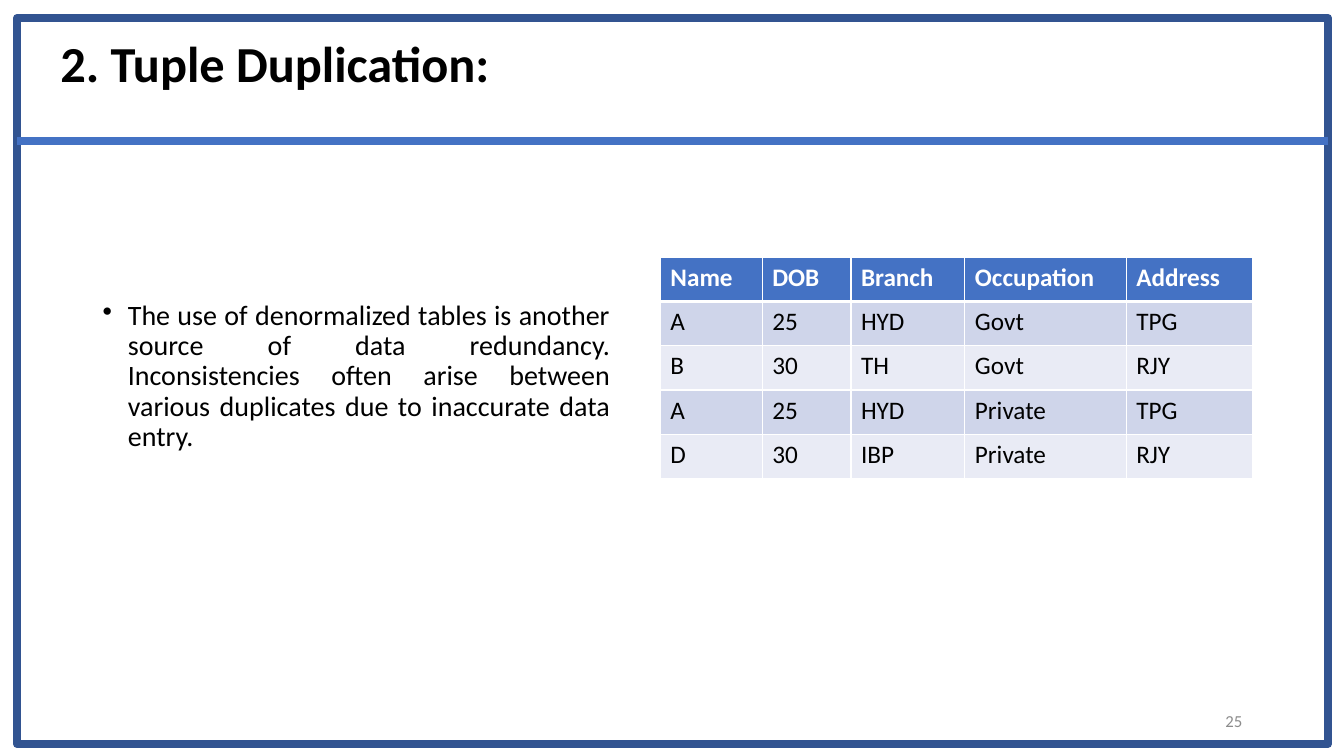
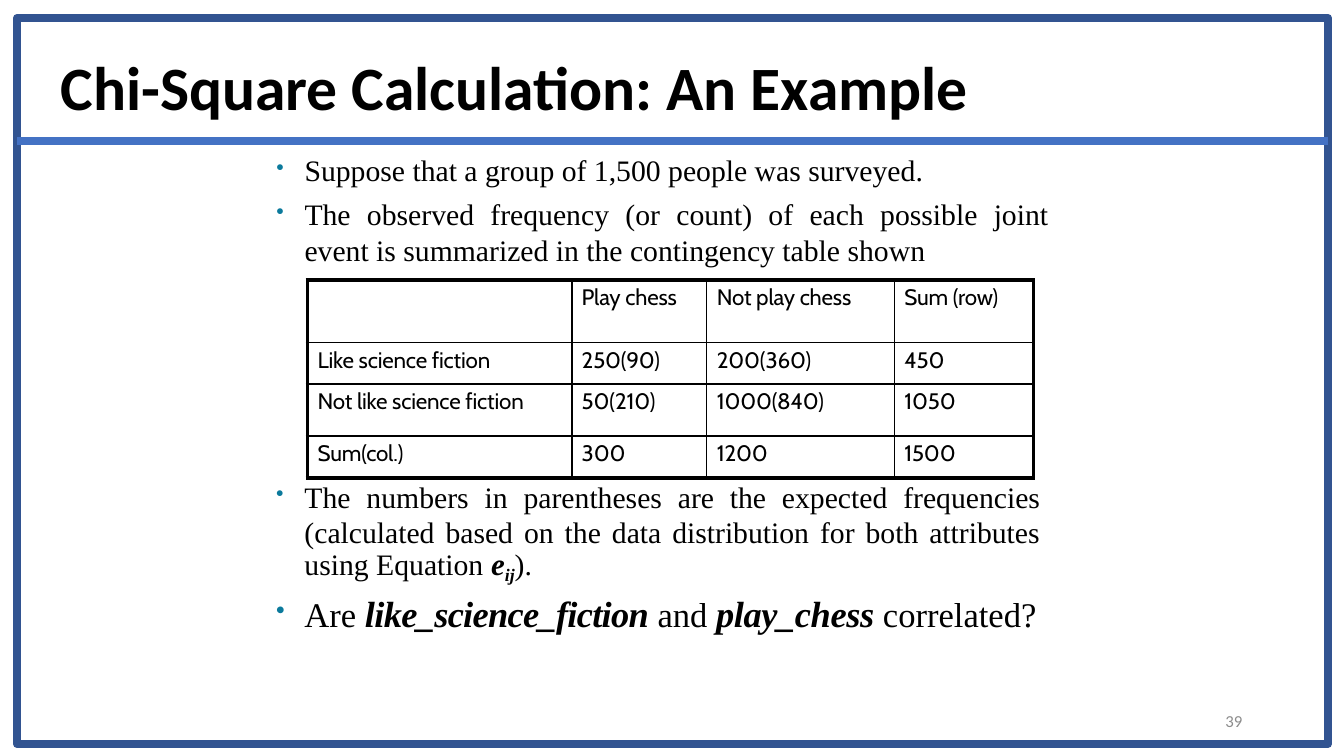
from lxml import etree
from pptx import Presentation, util as u
from pptx.dml.color import RGBColor
from pptx.enum import shapes, text
from pptx.oxml.ns import qn

BLACK, WHITE, GREY = "000000", "FFFFFF", "8C8C8C"
FRAME, ACCENT, TEAL = "325491", "4472C4", "0B7A9C"
BANDS = ("CFD5EA", "E9EBF5")
SANS, SERIF, TABLE_FONT = "Calibri", "Times New Roman", "Cabin"
JUSTIFY = text.PP_ALIGN.JUSTIFY


def color(hex_code):
    return RGBColor.from_string(hex_code)


def child(parent, tag, **attributes):
    return etree.SubElement(parent, qn(tag), {k: str(v) for k, v in attributes.items()})


class Deck:
    """Holds the style and the slide being drawn."""

    def __init__(self):
        self.prs = Presentation()
        self.prs.slide_width, self.prs.slide_height = u.Inches(13.33), u.Inches(7.5)
        self.slide = None

    def new_slide(self):
        self.slide = self.prs.slides.add_slide(self.prs.slide_layouts[6])

    def write_run(self, paragraph, words, size, font, ink=BLACK, spacing=0, baseline=0, **style):
        run = paragraph.add_run()
        run.text = words
        for name, value in {"size": u.Pt(size), "name": font, **style}.items():
            setattr(run.font, name, value)
        run.font.color.rgb = color(ink)
        # Letter spacing and subscripts exist only as XML attributes
        for name, value in {"spc": spacing, "baseline": baseline}.items():
            if value:
                run._r.get_or_add_rPr().set(name, str(value))

    def add_bullet(self, paragraph, indent, hanging, ink=None):
        props = paragraph._p.get_or_add_pPr()
        for name, value in {"marL": indent, "indent": -hanging}.items():
            props.set(name, str(u.Inches(value)))
        if ink:
            child(child(props, "a:buClr"), "a:srgbClr", val=ink)
            child(props, "a:buSzPct", val=75000)
        child(props, "a:buChar", char="•")

    def textbox(self, box, paragraphs, insets=(0.1, 0.05, 0.1, 0.05),
                anchor=text.MSO_ANCHOR.TOP, bullet=None):
        """Each paragraph is a pair: its format values and its runs."""
        frame = self.slide.shapes.add_textbox(*map(u.Inches, box)).text_frame
        frame.word_wrap, frame.vertical_anchor = True, anchor
        for side, inset in zip(("left", "top", "right", "bottom"), insets):
            setattr(frame, f"margin_{side}", u.Inches(inset))
        for i, (layout, runs) in enumerate(paragraphs):
            paragraph = frame.add_paragraph() if i else frame.paragraphs[0]
            if bullet:
                self.add_bullet(paragraph, *bullet)
            for name, value in layout.items():
                setattr(paragraph, name, value)
            for words, style in runs:
                self.write_run(paragraph, words, **style)

    def title(self, box, words, size, layout=None, **placing):
        style = dict(size=size, font=SANS, bold=True)
        self.textbox(box, [(layout or {}, [(words, style)])], **placing)

    def border(self, cell, widths):
        props = cell._tc.get_or_add_tcPr()
        for side, (width, ink) in zip("LRTB", widths):
            line = child(props, f"a:ln{side}", w=u.Pt(width))
            child(child(line, "a:solidFill"), "a:srgbClr", val=ink)

    def table(self, corner, columns, heights, rows, rules, ink, margins, cell_style):
        """rules gives the line widths across and down; cell_style(row) a fill and a font."""
        size = sum(columns), sum(heights)
        grid = self.slide.shapes.add_table(
            len(rows), len(columns), *map(u.Inches, corner + size)).table
        grid.first_row = grid.horz_banding = False
        for column, width in zip(grid.columns, columns):
            column.width = u.Inches(width)
        for row, height in zip(grid.rows, heights):
            row.height = u.Inches(height)
        across, down = rules
        for r, labels in enumerate(rows):
            fill, style = cell_style(r)
            for c, label in enumerate(labels):
                cell = grid.cell(r, c)
                for side, margin in zip(("left", "top", "right", "bottom"), margins):
                    setattr(cell, f"margin_{side}", u.Inches(margin))
                edges = down[c], down[c + 1], across[r], across[r + 1]
                self.border(cell, [(width, ink) for width in edges])
                if fill:
                    cell.fill.solid()
                    cell.fill.fore_color.rgb = color(fill)
                else:
                    cell.fill.background()
                if label:
                    self.write_run(cell.text_frame.paragraphs[0], label, **style)

    def finish(self, number):
        """Page number, frame and title rule, the same on every slide."""
        self.textbox((9.42, 6.95, 3, 0.4),
                     [({"alignment": text.PP_ALIGN.RIGHT},
                       [(number, dict(size=12, font=SANS, ink=GREY))])],
                     anchor=text.MSO_ANCHOR.MIDDLE)
        frame = self.slide.shapes.add_shape(
            shapes.MSO_SHAPE.RECTANGLE, *map(u.Inches, (0.17, 0.18, 13, 7.2)))
        frame.shadow.inherit = False
        frame.fill.background()
        rule = self.slide.shapes.add_connector(
            shapes.MSO_CONNECTOR.STRAIGHT, *map(u.Inches, (0.17, 1.4, 13.17, 1.4)))
        child(rule._element.spPr, "a:effectLst")
        for outline, ink in ((frame.line, FRAME), (rule.line, ACCENT)):
            outline.color.rgb = color(ink)
            outline.width = u.Pt(6)


def tuple_duplication(deck):
    deck.new_slide()
    deck.title((0.5, 0.31, 5.23, 1.25), "2. Tuple Duplication:", 36,
               {"line_spacing": 0.9}, insets=(0.1, 0.08, 0.1, 0.05))
    deck.textbox((0.92, 2.94, 5.23, 1.8), [
        ({"alignment": JUSTIFY, "line_spacing": 0.9},
         [("The use of denormalized tables is another source of data redundancy. "
           "Inconsistencies often arise between various duplicates due to "
           "inaccurate data entry.", dict(size=20, font=SANS))]),
    ], bullet=(0.25, 0.25))

    # Table with a header row and banded records
    def banded(row):
        if row == 0:
            return ACCENT, dict(size=18, font=SANS, ink=WHITE, bold=True)
        return BANDS[(row - 1) % 2], dict(size=18, font=SANS)

    people = [
        ("Name", "DOB", "Branch", "Occupation", "Address"),
        ("A", "25", "HYD", "Govt", "TPG"),
        ("B", "30", "TH", "Govt", "RJY"),
        ("A", "25", "HYD", "Private", "TPG"),
        ("D", "30", "IBP", "Private", "RJY"),
    ]
    deck.table((6.55, 2.55), (1.01, 0.88, 1.13, 1.6, 1.25), [0.44] * len(people), people,
               ((1, 3, 1, 1, 1, 1), [1] * 6), WHITE, (0.1, 0.05, 0.1, 0.05), banded)
    deck.finish("25")


def chi_square(deck):
    deck.new_slide()
    deck.title((0.6, 0.47, 10.97, 0.75), "Chi-Square Calculation: An Example", 44,
               insets=(0, 0.01, 0, 0), anchor=text.MSO_ANCHOR.MIDDLE)
    body = dict(size=21.2, font=SERIF)
    question = dict(size=24.7, font=SERIF)
    emphasis = dict(font=SERIF, bold=True, italic=True)

    # Survey set-up
    deck.textbox((2.73, 1.41, 7.68, 1.25), [
        ({"alignment": JUSTIFY},
         [("Suppose that a group of 1,500 people was surveyed.", body)]),
        ({"alignment": JUSTIFY, "space_before": u.Pt(6)},
         [("The observed frequency (or count) of each possible joint event "
           "is summarized in the contingency table shown", body)]),
    ], insets=(0, 0.1, 0, 0), bullet=(0.29, 0.28, TEAL))

    # Reading of the table and the question
    deck.textbox((2.7, 4.73, 7.63, 1.57), [
        ({"alignment": JUSTIFY, "line_spacing": u.Pt(25.4)},
         [("The numbers in parentheses are the expected frequencies (calculated based on "
           "the data distribution for both attributes using Equation ", body),
          ("e", dict(size=22.1, **emphasis)),
          ("ij", dict(size=21.8, baseline=-20000, **emphasis)),
          (").", body)]),
        ({"alignment": JUSTIFY, "space_before": u.Pt(4.2)},
         [("Are ", question),
          ("like_science_fiction ", dict(size=26, spacing=-50, **emphasis)),
          ("and ", question),
          ("play_chess ", dict(size=26, spacing=-30, **emphasis)),
          ("correlated?", question)]),
    ], insets=(0, 0.02, 0, 0), bullet=(0.32, 0.28, TEAL))

    # Contingency table
    counts = [
        ("", "Play chess", "Not play chess", "Sum (row)"),
        ("Like science fiction", "250(90)", "200(360)", "450"),
        ("Not like science fiction", "50(210)", "1000(840)", "1050"),
        ("Sum(col.)", "300", "1200", "1500"),
    ]
    deck.table((3.05, 2.78), (2.62, 1.34, 1.86, 1.38), (0.62, 0.41, 0.52, 0.41), counts,
               ((3, 1, 1, 1.5, 3), (3, 1.5, 1, 1, 3)), BLACK, (0.1, 0.04, 0, 0),
               lambda row: (None, dict(size=16, font=TABLE_FONT, spacing=-10)))
    deck.finish("39")


def main():
    deck = Deck()
    tuple_duplication(deck)
    chi_square(deck)
    deck.prs.save("out.pptx")


if __name__ == "__main__":
    main()
